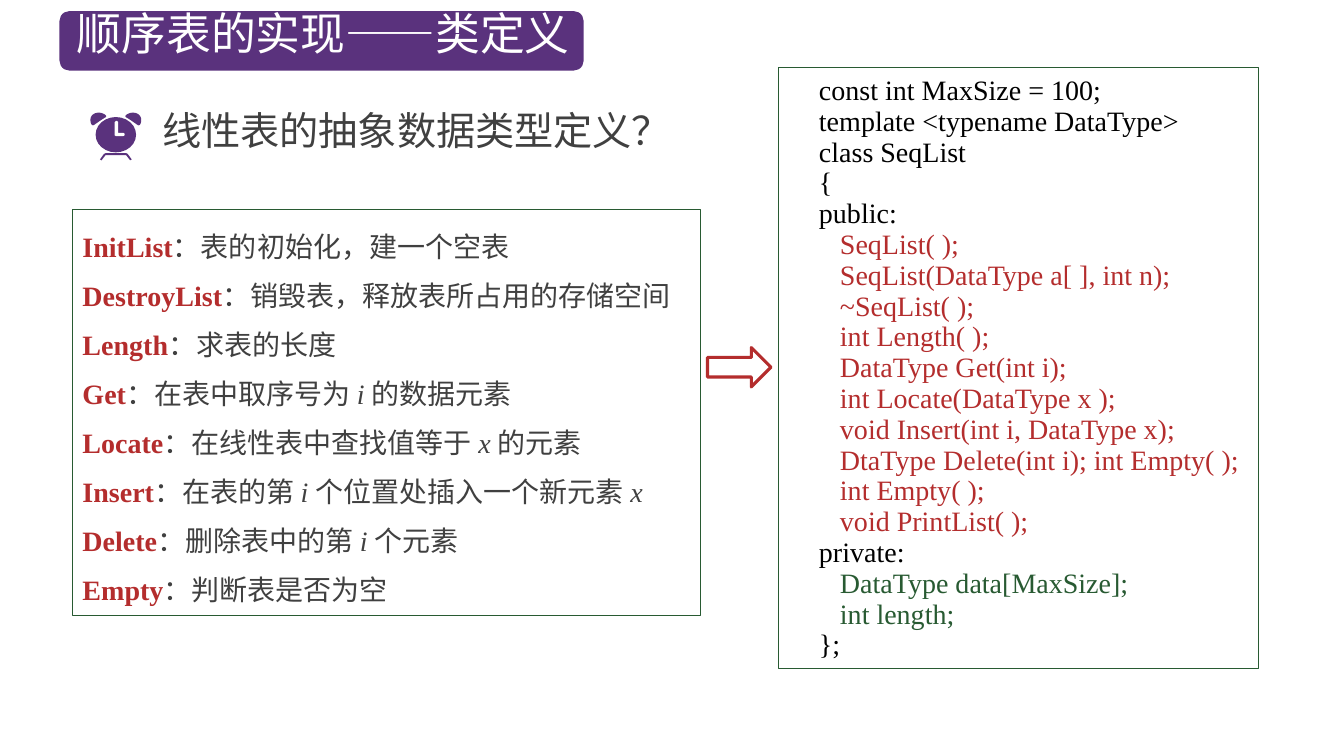
import pptx
import pptx.util
import pptx.dml.color
import pptx.enum.shapes
import pptx.enum.text
from lxml import etree

Cm, Pt = pptx.util.Cm, pptx.util.Pt
RGBColor = pptx.dml.color.RGBColor
SHAPE = pptx.enum.shapes.MSO_SHAPE
ANCHOR = pptx.enum.text.MSO_ANCHOR
ALIGN = pptx.enum.text.PP_ALIGN

PURPLE = RGBColor(0x5A, 0x32, 0x7D)
GREEN = RGBColor(0x28, 0x5A, 0x32)
RED = RGBColor(0xB4, 0x2D, 0x2D)
GREY = RGBColor(0x40, 0x40, 0x40)
BLACK = RGBColor(0, 0, 0)
WHITE = RGBColor(255, 255, 255)
SANS, SERIF = "Noto Sans CJK SC", "Times New Roman"

HEADING = "顺序表的实现——类定义"
QUESTION = "线性表的抽象数据类型定义？"
OPERATIONS = [
    ("InitList", ["：表的初始化，建一个空表"]),
    ("DestroyList", ["：销毁表，释放表所占用的存储空间"]),
    ("Length", ["：求表的长度"]),
    ("Get", ["：在表中取序号为 ", "i ", "的数据元素"]),
    ("Locate", ["：在线性表中查找值等于 ", "x ", "的元素"]),
    ("Insert", ["：在表的第 ", "i ", "个位置处插入一个新元素 ", "x"]),
    ("Delete", ["：删除表中的第 ", "i ", "个元素"]),
    ("Empty", ["：判断表是否为空"]),
]
CLASS_CODE = [
    (BLACK, ["const int MaxSize = 100;", "template <typename DataType>",
             "class SeqList", "{", "public:"]),
    (RED, ["   SeqList( );", "   SeqList(DataType a[ ], int n);",
           "   ~SeqList( );", "   int Length( );", "   DataType Get(int i);",
           "   int Locate(DataType x );", "   void Insert(int i, DataType x);",
           "   DtaType Delete(int i); int Empty( );", "   int Empty( );",
           "   void PrintList( );"]),
    (BLACK, ["private:"]),
    (GREEN, ["   DataType data[MaxSize];", "   int length;"]),
    (BLACK, ["};"]),
]

CLOCK_CENTRE = 2.92
BELL_START = (2.49, 2.84)
BELL_CURVES = [
    [(2.36, 2.84), (2.28, 2.92), (2.28, 3.02)],
    [(2.28, 3.07), (2.29, 3.12), (2.32, 3.15)],
    [(2.34, 3.16), (2.35, 3.16), (2.37, 3.15)],
    [(2.47, 3.08), (2.57, 3.01), (2.67, 2.95)],
    [(2.68, 2.94), (2.68, 2.92), (2.67, 2.91)],
    [(2.63, 2.87), (2.56, 2.84), (2.49, 2.84)],
]
FEET = [(2.52, 4.02), (2.62, 3.88), (2.66, 3.86), (3.18, 3.86), (3.22, 3.88),
        (3.32, 4.02), (3.28, 4.04), (3.18, 3.91), (2.66, 3.91), (2.56, 4.04)]
HANDS = [(2.89, 3.08), (2.92, 3.05), (2.95, 3.05), (2.98, 3.08), (2.98, 3.35),
         (3.11, 3.35), (3.14, 3.37), (3.14, 3.41), (3.11, 3.43), (2.92, 3.43),
         (2.89, 3.41)]

deck = pptx.Presentation()
deck.slide_width, deck.slide_height = Cm(33.87), Cm(19.05)
slide = deck.slides.add_slide(deck.slide_layouts[5])


def add_text(paragraph, text, size=20, color=GREY, font=SERIF, bold=False, italic=False):
    run = paragraph.add_run()
    run.text = text
    run.font.size, run.font.name = Pt(size), font
    run.font.bold, run.font.italic = bold, italic
    run.font.color.rgb = color
    east_asian = etree.SubElement(run.font._element, pptx.oxml.ns.qn("a:ea"))
    east_asian.set("typeface", SANS)


def paint(shape, fill=None, line=None, width=0.75):
    shape.shadow.inherit = False
    if fill is None:
        shape.fill.background()
    else:
        shape.fill.solid()
        shape.fill.fore_color.rgb = fill
    if line is None:
        shape.line.fill.background()
    else:
        shape.line.color.rgb = line
        shape.line.width = Pt(width)
    return shape


def add_preset(kind, box, **look):
    return paint(slide.shapes.add_shape(kind, *map(Cm, box)), **look)


def add_outline(points, fill):
    scaled = [(Cm(x), Cm(y)) for x, y in points]
    builder = slide.shapes.build_freeform(*scaled[0])
    builder.add_line_segments(scaled[1:], close=True)
    return paint(builder.convert_to_shape(), fill=fill)


def trace(start, curves, steps=8):
    points = [start]
    for a, b, c in curves:
        origin = points[-1]
        for step in range(1, steps + 1):
            t = step / steps
            u = 1 - t
            points.append(tuple(
                u**3 * p + 3 * u * u * t * q + 3 * u * t * t * r + t**3 * s
                for p, q, r, s in zip(origin, a, b, c)))
    return points


def fill_lines(frame, lines, spacing, anchor, align, indent=0):
    frame.word_wrap = True
    frame.vertical_anchor = anchor
    for index, runs in enumerate(lines):
        paragraph = frame.paragraphs[0] if index == 0 else frame.add_paragraph()
        paragraph.alignment = align
        paragraph.line_spacing = Pt(spacing)
        if indent:
            paragraph._p.get_or_add_pPr().set("indent", str(Cm(indent)))
        for text, look in runs:
            add_text(paragraph, text, **look)


def set_single_line(box, text, **look):
    frame = box.text_frame
    frame.word_wrap = True
    frame.vertical_anchor = ANCHOR.TOP
    frame.margin_top = frame.margin_bottom = 0
    frame.paragraphs[0].alignment = ALIGN.LEFT
    add_text(frame.paragraphs[0], text, font=SANS, **look)


banner = add_preset(SHAPE.ROUNDED_RECTANGLE, (1.5, 0.28, 13.21, 1.5), fill=PURPLE)
heading = slide.shapes.title
heading._element.addprevious(banner._element)
heading.left, heading.top, heading.width, heading.height = map(Cm, (1.68, 0.15, 12.95, 1.63))
set_single_line(heading, HEADING, size=32, color=WHITE)

operations = add_preset(SHAPE.RECTANGLE, (1.83, 5.27, 15.82, 10.24), line=GREEN)
operation_lines = [
    [(name, {"color": RED, "bold": True})]
    + [(part, {"italic": place % 2 == 1}) for place, part in enumerate(parts)]
    for name, parts in OPERATIONS]
fill_lines(operations.text_frame, operation_lines, 35, ANCHOR.TOP, ALIGN.JUSTIFY)

question = slide.shapes.add_textbox(*map(Cm, (3.84, 2.67, 24.03, 1.45)))
set_single_line(question, QUESTION, size=28)

bell = trace(BELL_START, BELL_CURVES)
add_outline(FEET, PURPLE)
add_outline(bell, PURPLE)
add_outline([(2 * CLOCK_CENTRE - x, y) for x, y in bell], PURPLE)
add_preset(SHAPE.OVAL, (CLOCK_CENTRE - 0.51, 2.95, 1.02, 0.89), fill=PURPLE)
add_outline(HANDS, WHITE)

class_definition = add_preset(SHAPE.RECTANGLE, (19.63, 1.7, 12.09, 15.14), line=GREEN)
code_lines = [[(line, {"color": color})] for color, lines in CLASS_CODE for line in lines]
fill_lines(class_definition.text_frame, code_lines, 22, ANCHOR.MIDDLE, ALIGN.LEFT, indent=0.76)

add_preset(SHAPE.RIGHT_ARROW, (17.83, 8.76, 1.6, 0.99), line=RED, width=2.25)

deck.save("out.pptx")
